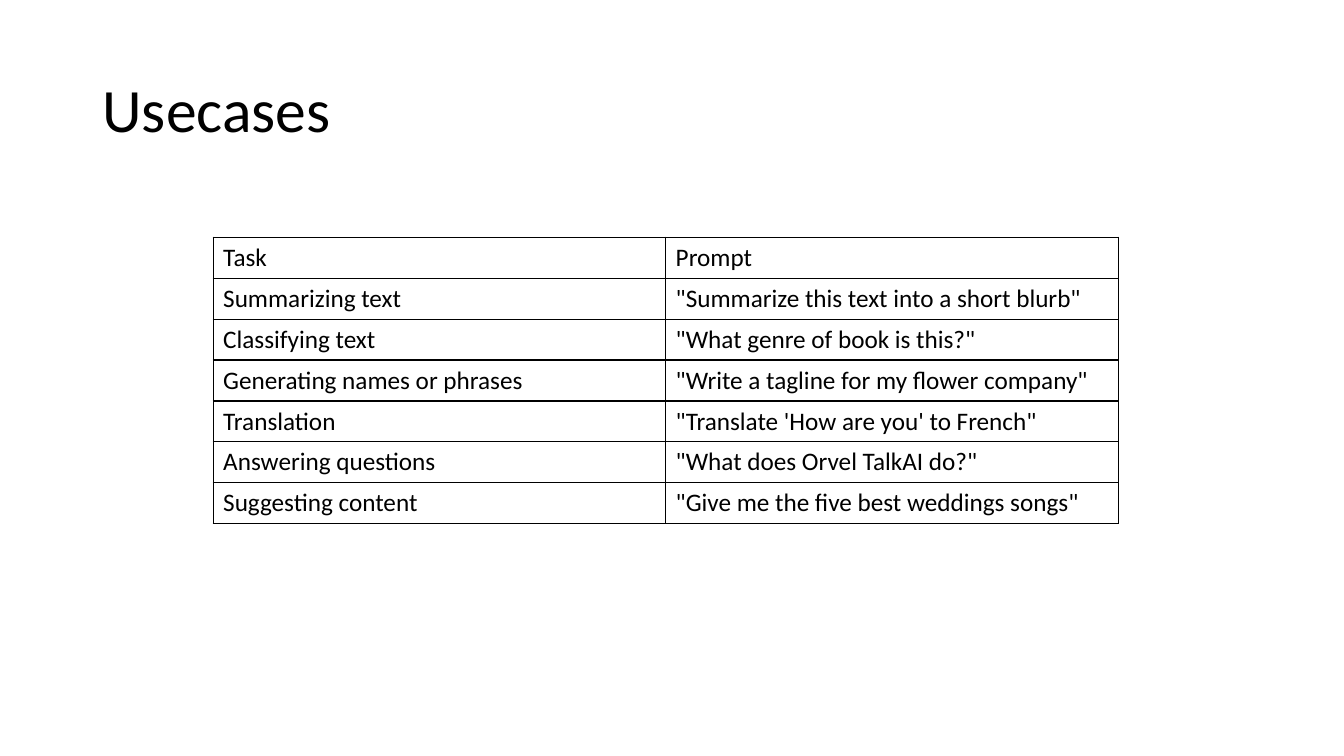
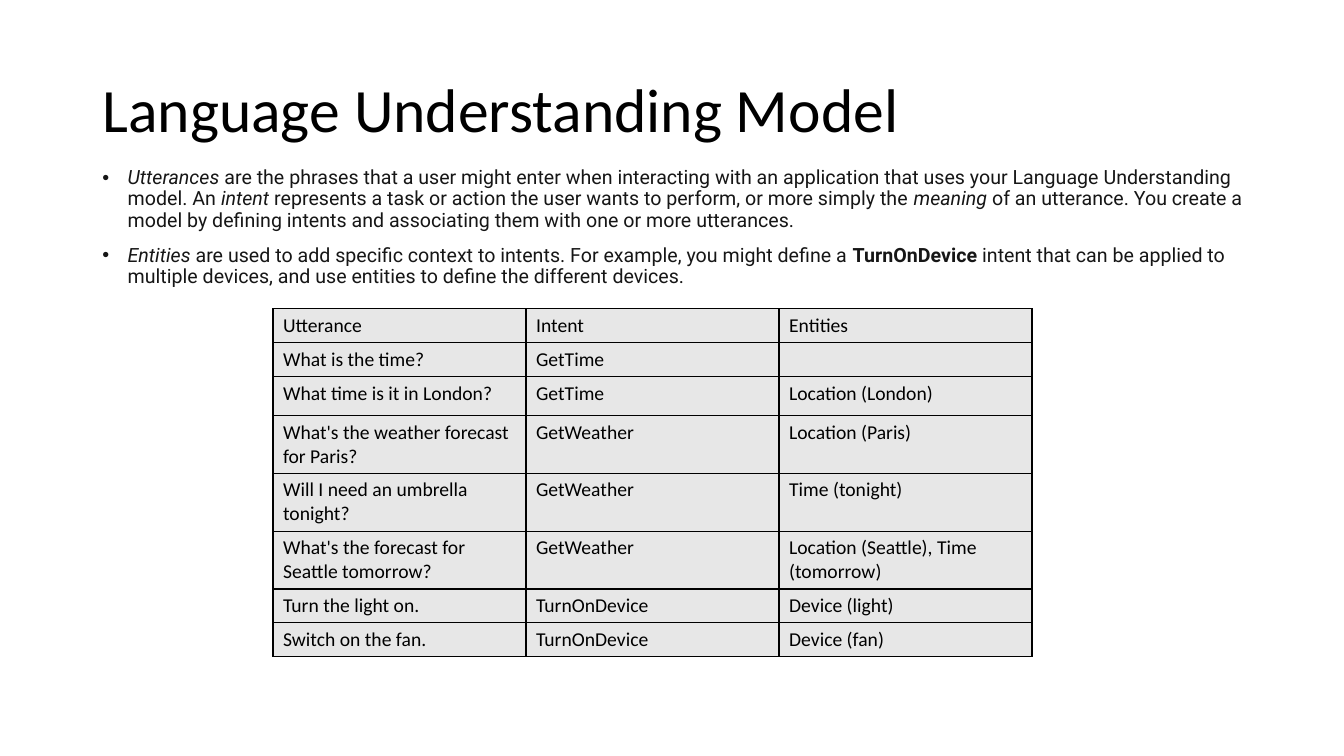
"""Build two slides on language model use cases and language understanding."""
import lxml.etree
import pptx
import pptx.dml.color
import pptx.enum.text
import pptx.oxml.ns
import pptx.util

PX = 9525
BLACK = pptx.dml.color.RGBColor(0x00, 0x00, 0x00)
INK = pptx.dml.color.RGBColor(0x16, 0x16, 0x16)
PALE_GREY = pptx.dml.color.RGBColor(0xE7, 0xE7, 0xE7)
TITLE_BOX = (88, 38, 1104, 139)
BODY_BOX = (88, 155, 1123, 457)
TITLE_ONLY, TITLE_AND_BODY = 5, 1

USECASES = [
    ("Task", "Prompt"),
    ("Summarizing text", '"Summarize this text into a short blurb"'),
    ("Classifying text", '"What genre of book is this?"'),
    ("Generating names or phrases", '"Write a tagline for my flower company"'),
    ("Translation", "\"Translate 'How are you' to French\""),
    ("Answering questions", '"What does Orvel TalkAI do?"'),
    ("Suggesting content", '"Give me the five best weddings songs"'),
]

DEFINITIONS = [
    [
        ("Utterances", "italic"),
        (" are the phrases that a user might enter when interacting with an application "
         "that uses your Language Understanding model. An ", None),
        ("intent", "italic"),
        (" represents a task or action the user wants to perform, or more simply the ", None),
        ("meaning", "italic"),
        (" of an utterance. You create a model by defining intents and associating them "
         "with one or more utterances.", None),
    ],
    [
        ("Entities", "italic"),
        (" are used to add specific context to intents. For example, you might define a ", None),
        ("TurnOnDevice", "bold"),
        (" intent that can be applied to multiple devices, and use entities to define "
         "the different devices.", None),
    ],
]

UTTERANCES = [
    ("Utterance", "Intent", "Entities"),
    ("What is the time?", "GetTime", ""),
    ("What time is it in London?", "GetTime", "Location (London)"),
    ("What's the weather forecast for Paris?", "GetWeather", "Location (Paris)"),
    ("Will I need an umbrella tonight?", "GetWeather", "Time (tonight)"),
    ("What's the forecast for Seattle tomorrow?", "GetWeather",
     "Location (Seattle), Time (tomorrow)"),
    ("Turn the light on.", "TurnOnDevice", "Device (light)"),
    ("Switch on the fan.", "TurnOnDevice", "Device (fan)"),
]
UTTERANCE_HEIGHTS = [32, 32, 37, 55, 55, 55, 32, 32]


def style(font, name, size, color):
    font.name = name
    font.size = pptx.util.Pt(size)
    font.color.rgb = color


def place(placeholder, box):
    placeholder.left, placeholder.top, placeholder.width, placeholder.height = (
        length * PX for length in box)
    placeholder.text_frame.auto_size = pptx.enum.text.MSO_AUTO_SIZE.NONE


def add_titled_slide(deck, layout, title):
    slide = deck.slides.add_slide(deck.slide_layouts[layout])
    heading = slide.shapes.title
    place(heading, TITLE_BOX)
    heading.text_frame.text = title
    heading.text_frame.vertical_anchor = pptx.enum.text.MSO_ANCHOR.MIDDLE
    line = heading.text_frame.paragraphs[0]
    line.alignment = pptx.enum.text.PP_ALIGN.LEFT
    line.line_spacing = 0.9
    style(line.runs[0].font, "Calibri", 44, BLACK)
    return slide


def fill_body(body, bullets):
    place(body, BODY_BOX)
    frame = body.text_frame
    for index, pieces in enumerate(bullets):
        bullet = frame.add_paragraph() if index else frame.paragraphs[0]
        bullet.line_spacing = 0.9
        bullet.space_before = pptx.util.Pt(10)
        indent = bullet._p.get_or_add_pPr()
        indent.set("marL", str(24 * PX))
        indent.set("indent", str(-24 * PX))
        for words, emphasis in pieces:
            run = bullet.add_run()
            run.text = words
            style(run.font, "Roboto", 14, INK)
            run.font.italic = emphasis == "italic"
            run.font.bold = emphasis == "bold"


def add_borders(cell):
    qn = pptx.oxml.ns.qn
    properties = cell._tc.get_or_add_tcPr()
    for side in ("a:lnL", "a:lnR", "a:lnT", "a:lnB"):
        edge = lxml.etree.SubElement(properties, qn(side), w=str(pptx.util.Pt(1)))
        solid = lxml.etree.SubElement(edge, qn("a:solidFill"))
        lxml.etree.SubElement(solid, qn("a:srgbClr"), val=str(BLACK))


def add_grid(slide, rows, left, top, column_width, heights, size, fill=None):
    columns = len(rows[0])
    grid = slide.shapes.add_table(
        len(rows), columns, left * PX, top * PX,
        columns * column_width * PX, sum(heights) * PX).table
    grid.first_row = grid.horz_banding = False
    for column in grid.columns:
        column.width = column_width * PX
    for row, height, texts in zip(grid.rows, heights, rows):
        row.height = height * PX
        for cell, words in zip(row.cells, texts):
            cell.text_frame.text = words
            line = cell.text_frame.paragraphs[0]
            for run in line.runs:
                style(run.font, "Calibri", size, BLACK)
            if not words:
                lxml.etree.SubElement(
                    line._p, pptx.oxml.ns.qn("a:endParaRPr"), sz=str(size * 100))
            add_borders(cell)
            if fill is None:
                cell.fill.background()
            else:
                cell.fill.solid()
                cell.fill.fore_color.rgb = fill


def main():
    deck = pptx.Presentation()
    deck.slide_width, deck.slide_height = 1280 * PX, 720 * PX

    usecases = add_titled_slide(deck, TITLE_ONLY, "Usecases")
    add_grid(usecases, USECASES, 203, 226, 431, [39] * len(USECASES), 18)

    understanding = add_titled_slide(deck, TITLE_AND_BODY, "Language Understanding Model")
    fill_body(understanding.placeholders[1], DEFINITIONS)
    add_grid(understanding, UTTERANCES, 260, 294, 241, UTTERANCE_HEIGHTS, 14, PALE_GREY)

    deck.save("out.pptx")


if __name__ == "__main__":
    main()
